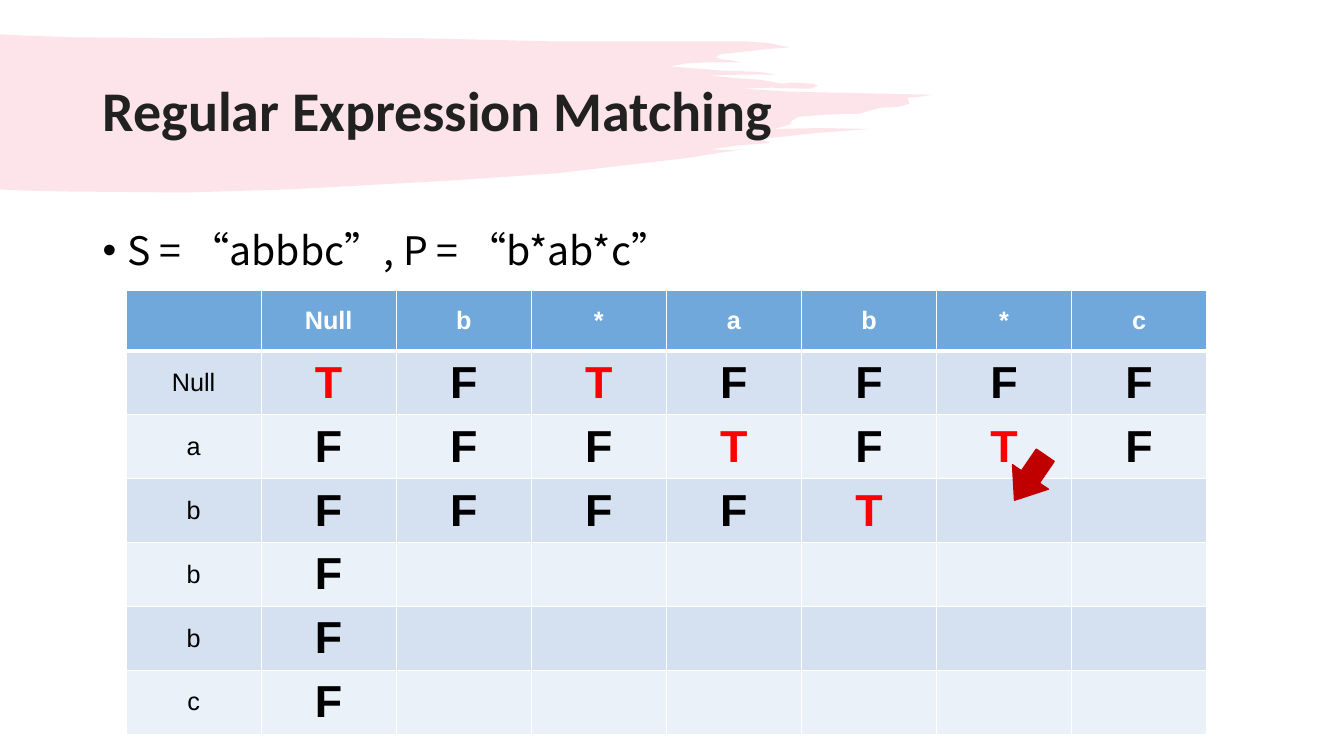
from dataclasses import dataclass

from lxml import etree
from pptx import Presentation
from pptx.dml.color import RGBColor
from pptx.enum.shapes import MSO_SHAPE
from pptx.enum.text import MSO_ANCHOR, PP_ALIGN
from pptx.oxml.ns import qn
from pptx.util import Inches, Pt

DOWN_ARROW = MSO_SHAPE.DOWN_ARROW
MIDDLE, TOP = MSO_ANCHOR.MIDDLE, MSO_ANCHOR.TOP
LEFT, CENTER = PP_ALIGN.LEFT, PP_ALIGN.CENTER
WHITE, BLACK, RED = "FFFFFF", "000000", "FF0000"
HEADER_FILL, BAND_FILLS = "70A8DB", ("EBF1F8", "D5E1F1")
COLUMN_WIDTH, ROW_HEIGHT = 1.34, 0.6

PATTERN = ["", "Null", "b", "*", "a", "b", "*", "c"]
MATCHES = [("Null", "TFTFFFF"), ("a", "FFFTFTF"), ("b", "FFFFT"),
           ("b", "F"), ("b", "F"), ("c", "F")]

BRUSH_OUTLINE = [
    (0, 0.34), (0.18, 0.35), (0.7, 0.37), (1.86, 0.38), (2.85, 0.37),
    (4.21, 0.38), (5.44, 0.41), (6.94, 0.41), (7.4, 0.41), (7.64, 0.43),
    (7.83, 0.47), (7.58, 0.49), (7.14, 0.54), (7.1, 0.57), (7.16, 0.59),
    (7.26, 0.6), (7.35, 0.62), (7.0, 0.62), (6.8, 0.63), (6.65, 0.66),
    (6.9, 0.68), (7.16, 0.7), (7.44, 0.71), (7.58, 0.72), (7.69, 0.74),
    (7.36, 0.74), (7.03, 0.75), (7.37, 0.78), (7.53, 0.79), (7.65, 0.81),
    (7.75, 0.83), (7.85, 0.82), (8.06, 0.83), (8.11, 0.85), (8.05, 0.88),
    (7.95, 0.88), (7.65, 0.87), (7.36, 0.88), (7.83, 0.91), (8.3, 0.92),
    (9.25, 0.94), (9.12, 0.96), (9, 0.97), (9.02, 1.03), (8.91, 1.06),
    (8.73, 1.07), (8.59, 1.11), (8.52, 1.13), (8.39, 1.13), (8.15, 1.14),
    (7.92, 1.16), (7.85, 1.2), (7.85, 1.23), (7.79, 1.25), (7.67, 1.28),
    (8.15, 1.27), (8.63, 1.28), (8.09, 1.32), (7.55, 1.38), (7.64, 1.42),
    (7.35, 1.44), (7.05, 1.48), (7.21, 1.49), (7.37, 1.48), (6.8, 1.57),
    (5.51, 1.72), (4.5, 1.79), (2.86, 1.88), (1.83, 1.91), (0.65, 1.9),
    (0.21, 1.89), (0, 1.88),
]


@dataclass(frozen=True)
class TextStyle:
    font: str
    size: int
    color: str
    bold: bool = False


HEADING_STYLE = TextStyle("Calibri", 40, "212121", True)
EXAMPLE_STYLE = TextStyle("Noto Sans CJK TC", 28, BLACK)
HEADER_STYLE = TextStyle("Arial", 18, WHITE, True)
LETTER_STYLE = TextStyle("Arial", 18, BLACK)
TRUE_STYLE = TextStyle("Arial", 32, RED, True)
FALSE_STYLE = TextStyle("Arial", 32, BLACK, True)


def rgb(color: str) -> RGBColor:
    return RGBColor.from_string(color)


def paint(shape, color: str) -> None:
    shape.fill.solid()
    shape.fill.fore_color.rgb = rgb(color)


def write(frame, text: str, style: TextStyle, align, anchor) -> None:
    frame.word_wrap = True
    frame.vertical_anchor = anchor
    frame.text = text
    paragraph = frame.paragraphs[0]
    paragraph.alignment = align
    for run in paragraph.runs:
        run.font.name = style.font
        run.font.size = Pt(style.size)
        run.font.bold = style.bold
        run.font.color.rgb = rgb(style.color)
        east_asian = etree.SubElement(run.font._element, qn("a:ea"))
        east_asian.set("typeface", style.font)


def add_brush(slide):
    start, *rest = [(Inches(x), Inches(y)) for x, y in BRUSH_OUTLINE]
    builder = slide.shapes.build_freeform(*start)
    builder.add_line_segments(rest, close=True)
    brush = builder.convert_to_shape()
    brush.shadow.inherit = False
    brush.line.fill.background()
    paint(brush, "F07C98")
    tint = brush.element.spPr.find(qn("a:solidFill"))[0]
    etree.SubElement(tint, qn("a:alpha")).set("val", "20000")
    return brush


def add_heading(slide) -> None:
    heading = slide.shapes.title
    heading.left, heading.top = Inches(0.92), Inches(0.4)
    heading.width, heading.height = Inches(11.5), Inches(1.45)
    write(heading.text_frame, "Regular Expression Matching", HEADING_STYLE, LEFT, MIDDLE)
    heading.text_frame.paragraphs[0].line_spacing = 0.9
    heading.element.addprevious(add_brush(slide).element)


def add_example(slide) -> None:
    example = slide.shapes.add_textbox(Inches(0.92), Inches(2.2), Inches(11.5), Inches(0.66))
    write(example.text_frame, "S = “abbbc”, P = “b*ab*c”", EXAMPLE_STYLE, LEFT, TOP)
    properties = example.text_frame.paragraphs[0]._p.get_or_add_pPr()
    properties.set("marL", str(Inches(0.25)))
    properties.set("indent", str(-Inches(0.25)))
    etree.SubElement(properties, qn("a:buFont")).set("typeface", "Arial")
    etree.SubElement(properties, qn("a:buChar")).set("char", "•")


def set_borders(cell, top: int, bottom: int) -> None:
    properties = cell._tc.get_or_add_tcPr()
    sides = (("a:lnL", 1), ("a:lnR", 1), ("a:lnT", top), ("a:lnB", bottom))
    for position, (tag, width) in enumerate(sides):
        border = etree.Element(qn(tag), w=str(Pt(width)))
        fill = etree.SubElement(border, qn("a:solidFill"))
        etree.SubElement(fill, qn("a:srgbClr")).set("val", WHITE)
        properties.insert(position, border)


def style_for(row: int, column: int, text: str) -> TextStyle:
    if row == 0:
        return HEADER_STYLE
    if column == 0:
        return LETTER_STYLE
    return TRUE_STYLE if text == "T" else FALSE_STYLE


def add_match_table(slide) -> None:
    rows = [PATTERN] + [[letter, *results] for letter, results in MATCHES]
    column_count = len(PATTERN)
    table = slide.shapes.add_table(
        len(rows), column_count, Inches(1.25), Inches(2.88),
        Inches(COLUMN_WIDTH * column_count), Inches(ROW_HEIGHT * len(rows))).table
    for column in table.columns:
        column.width = Inches(COLUMN_WIDTH)
    for row, texts in enumerate(rows):
        table.rows[row].height = Inches(ROW_HEIGHT)
        for column in range(column_count):
            cell = table.cell(row, column)
            paint(cell, BAND_FILLS[row % 2] if row else HEADER_FILL)
            set_borders(cell, 3 if row == 1 else 1, 3 if row == 0 else 1)
            cell.vertical_anchor = MIDDLE
            text = texts[column] if column < len(texts) else ""
            if text:
                write(cell.text_frame, text, style_for(row, column, text), CENTER, MIDDLE)


def add_step_arrow(slide) -> None:
    arrow = slide.shapes.add_shape(
        DOWN_ARROW, Inches(10), Inches(4.47), Inches(0.43), Inches(0.54))
    arrow.adjustments[0], arrow.adjustments[1] = 0.5, 0.65
    arrow.rotation = 34.3
    arrow.shadow.inherit = False
    paint(arrow, "C00000")
    arrow.line.color.rgb = rgb("C00000")
    arrow.line.width = Pt(1)


def main() -> None:
    presentation = Presentation()
    presentation.slide_width, presentation.slide_height = Inches(13.33), Inches(7.5)
    slide = presentation.slides.add_slide(presentation.slide_layouts[5])
    add_heading(slide)
    add_example(slide)
    add_match_table(slide)
    add_step_arrow(slide)
    presentation.save("out.pptx")


if __name__ == "__main__":
    main()
